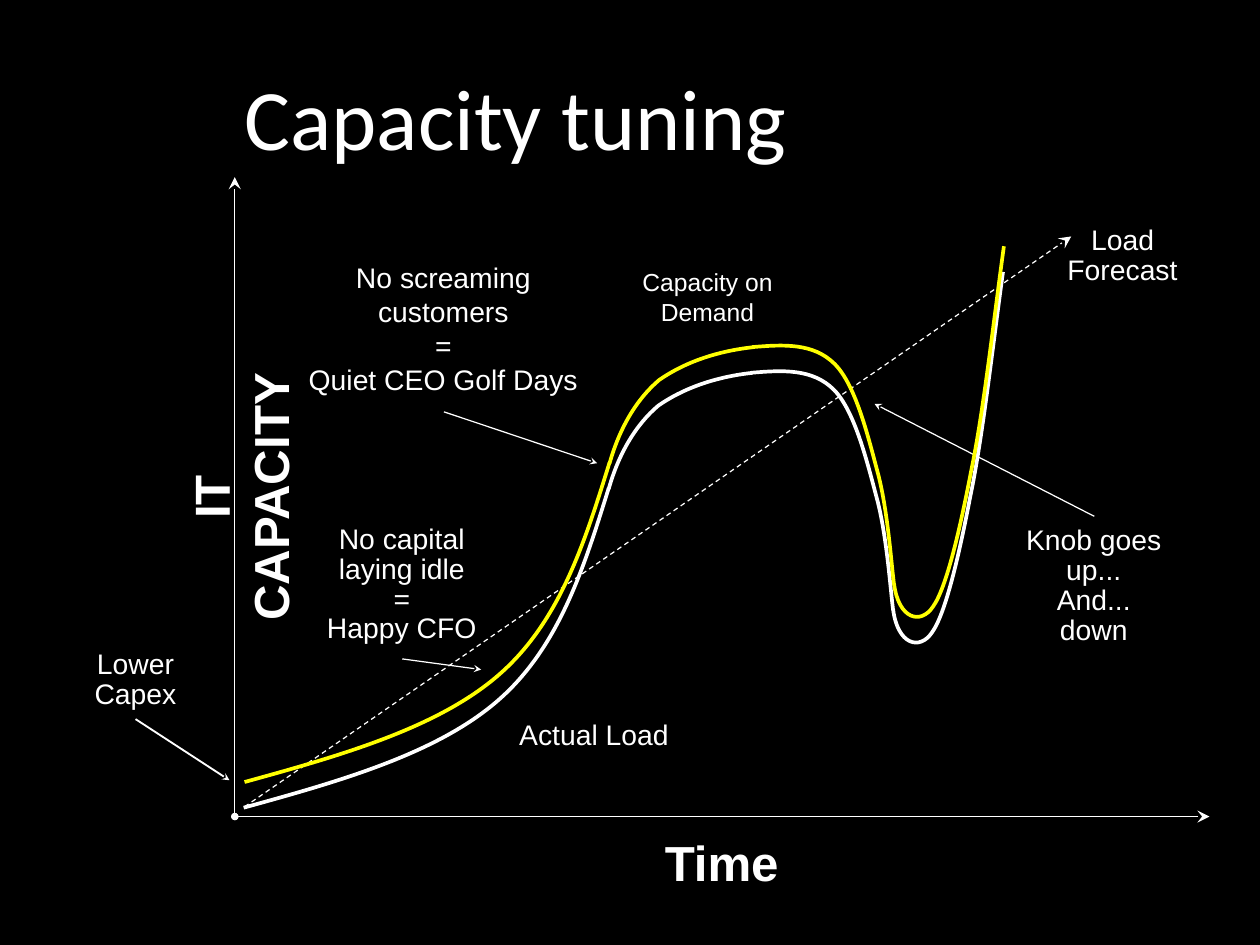
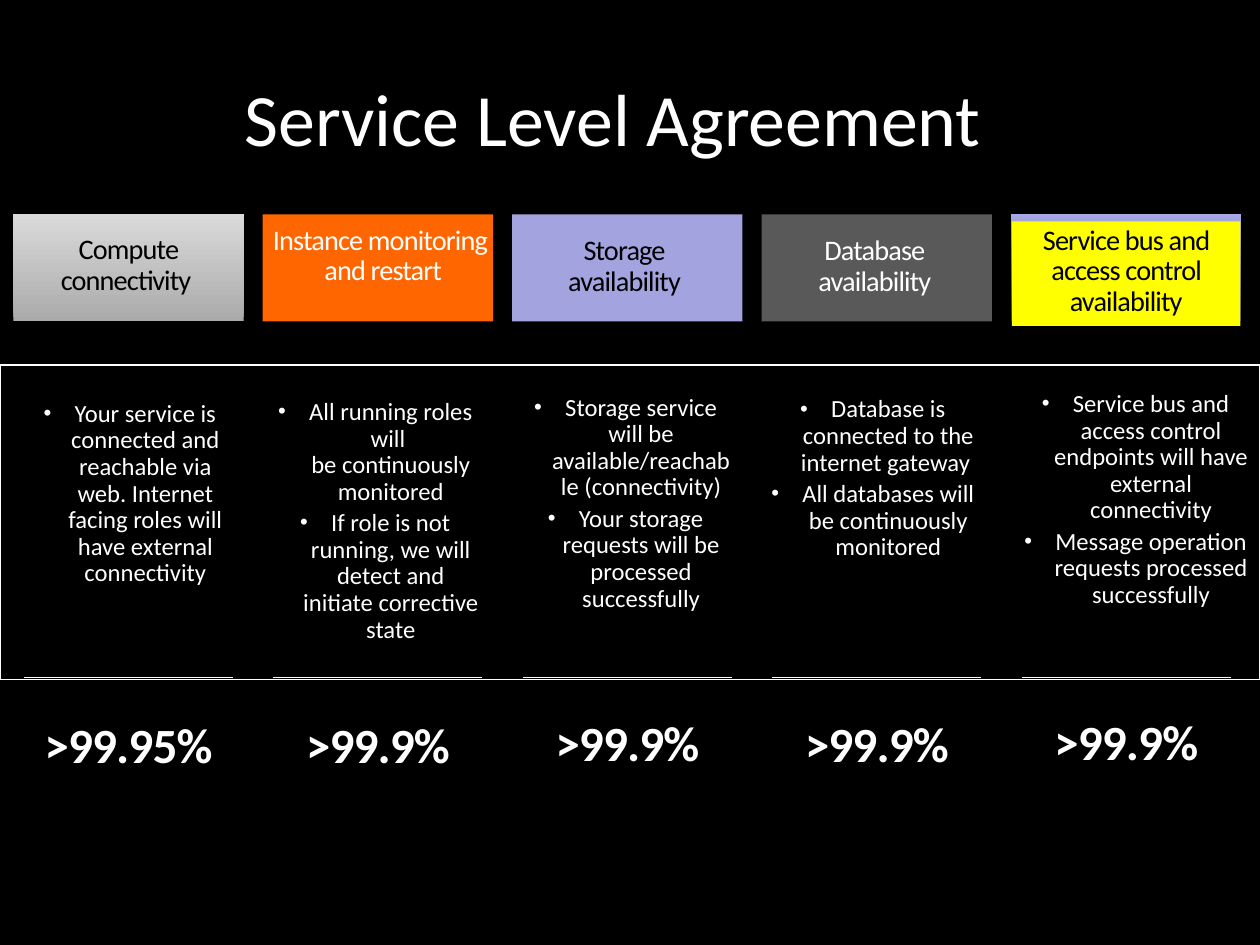
from lxml import etree
from pptx import Presentation
from pptx.dml.color import RGBColor
from pptx.enum.dml import MSO_LINE as Dash
from pptx.enum.shapes import MSO_CONNECTOR as Link, MSO_SHAPE as Form
from pptx.enum.text import MSO_ANCHOR as Anchor, PP_ALIGN as Align
from pptx.oxml.ns import qn
from pptx.util import Inches, Pt

BLACK = RGBColor(0x00, 0x00, 0x00)
WHITE = RGBColor(0xFF, 0xFF, 0xFF)
YELLOW = RGBColor(0xFF, 0xFF, 0x00)
ORANGE = RGBColor(0xFF, 0x66, 0x00)
LILAC = RGBColor(0xA3, 0xA3, 0xE0)
GRAY = RGBColor(0x59, 0x59, 0x59)
SILVER = (RGBColor(0xAA, 0xAA, 0xAA), RGBColor(0xDA, 0xDA, 0xDA))
INDIGO = (RGBColor(0x1F, 0x1F, 0x98), RGBColor(0xA9, 0xA9, 0xE5))


def write(shape, text, size, font="Calibri", color=WHITE, bold=False,
          align=Align.CENTER, anchor=Anchor.TOP, inset=(0, 0.05),
          lead=None, track=0, wrap=True):
    """Fill a shape with text; inset is (sides, top and bottom)."""
    frame = shape.text_frame
    frame.word_wrap = wrap
    frame.vertical_anchor = anchor
    frame.margin_left = frame.margin_right = Inches(inset[0])
    frame.margin_top = frame.margin_bottom = Inches(inset[1])
    frame.text = text
    for para in frame.paragraphs:
        para.alignment = align
        para.line_spacing = lead
        for run in para.runs:
            run.font.name = font
            run.font.size = Pt(size)
            run.font.bold = bold
            run.font.color.rgb = color
            if track:
                run.font._element.set("spc", str(track))
    return frame


def rule(shapes, start, end, width=1, head=None, tail=None, dash=None,
         size="med"):
    """Draw a white line with optional arrowheads."""
    ends = [Inches(n) for n in (*start, *end)]
    link = shapes.add_connector(Link.STRAIGHT, *ends)
    link.line.color.rgb = WHITE
    link.line.width = Pt(width)
    if dash:
        link.line.dash_style = dash
    props = link.element.spPr
    for tag, kind, scale in (("a:headEnd", head, "med"),
                             ("a:tailEnd", tail, size)):
        if kind:
            mark = etree.SubElement(props.get_or_add_ln(), qn(tag))
            mark.set("type", kind)
            mark.set("w", scale)
            mark.set("len", scale)
    etree.SubElement(props, qn("a:effectLst"))


deck = Presentation()
deck.slide_width = Inches(14.22)
deck.slide_height = Inches(10.67)
back = deck.slide_master.background.fill
back.solid()
back.fore_color.rgb = BLACK

pages = []
for title, size in (("Capacity tuning", 70), ("Service Level Agreement", 60)):
    page = deck.slides.add_slide(deck.slide_layouts[6])
    box = page.shapes.add_textbox(
        Inches(2.71), Inches(0.17), Inches(10.33), Inches(2.29))
    write(box, title, size, align=Align.LEFT, anchor=Anchor.MIDDLE,
          inset=(0.05, 0.06))
    pages.append(page.shapes)
chart, terms = pages

# Capacity tuning: forecast, axes and pointers
rule(chart, (2.76, 9.11), (12.09, 2.67), tail="stealth", dash=Dash.DASH,
     size="lg")
for tip in ((13.65, 9.22), (2.65, 2)):
    rule(chart, (2.65, 9.22), tip, head="oval", tail="stealth", size="lg")
for start, end, width in (
    ((4.54, 7.44), (5.43, 7.56), 1),
    ((5.01, 4.65), (6.74, 5.23), 1),
    ((12.35, 5.83), (9.87, 4.56), 1),
    ((1.53, 8.12), (2.59, 8.81), 1.5),
):
    rule(chart, start, end, width, tail="stealth")

# Each load piece: a start, then two control points and an end per bend
pieces = [
    [(8.48, 4.21), (8.83, 4.18), (9.17, 4.16), (9.41, 4.4),
     (9.65, 4.64), (9.79, 5.23), (9.9, 5.64),
     (10.01, 6.06), (10.05, 6.66), (10.08, 6.89)],
    [(10.08, 6.88), (10.13, 7.28), (10.38, 7.35), (10.52, 7.14),
     (10.67, 6.93), (10.82, 6.29), (10.95, 5.61),
     (11.09, 4.94), (11.2, 3.94), (11.32, 3.07)],
    [(2.75, 9.12), (3.84, 8.82), (4.93, 8.51), (5.62, 7.91),
     (6.31, 7.31), (6.59, 6.41), (6.87, 5.51)],
    [(6.87, 5.52), (6.98, 5.13), (7.17, 4.8), (7.43, 4.58),
     (7.69, 4.4), (8.04, 4.26), (8.49, 4.21)],
]
for color, dx, dy in ((WHITE, 0, 0), (YELLOW, 0.01, -0.29)):
    load = chart.add_group_shape().shapes
    for piece in pieces:
        first, *rest = [(Inches(x + dx), Inches(y + dy)) for x, y in piece]
        pen = load.build_freeform(*first)
        pen.add_line_segments(rest, close=False)
        curve = pen.convert_to_shape()
        curve.shadow.inherit = False
        curve.fill.background()
        curve.line.color.rgb = color
        curve.line.width = Pt(3)
        trace = next(curve.element.iter(qn("a:path")))
        legs = trace.findall(qn("a:lnTo"))
        for n in range(0, len(legs), 3):
            bend = etree.SubElement(trace, qn("a:cubicBezTo"))
            for leg in legs[n:n + 3]:
                bend.append(leg[0])
                trace.remove(leg)

TIGHT = Pt(24.2)
for text, x, y, w, h, size, lead, anchor, bend in (
    ("Actual Load", 5.54, 8, 2.33, 0.58, 23, None, Anchor.TOP, 0.17),
    ("Capacity on Demand", 6.98, 2.9, 2.01, 0.9, 20, None, Anchor.TOP, 0.17),
    ("Lower Capex", 0.58, 7.24, 1.9, 0.88, 23, TIGHT, Anchor.MIDDLE, 0.1),
    ("No capital laying idle\n=\vHappy CFO",
     3.48, 5.78, 2.11, 1.66, 23, TIGHT, Anchor.TOP, 0.17),
    ("No screaming customers\n=\nQuiet CEO Golf Days",
     3.31, 2.78, 3.39, 1.87, 23, None, Anchor.TOP, 0.17),
    ("Knob goes up...\nAnd...\ndown",
     11.26, 5.83, 2.17, 1.59, 23, TIGHT, Anchor.TOP, 0.1),
):
    note = chart.add_shape(
        Form.ROUNDED_RECTANGLE, Inches(x), Inches(y), Inches(w), Inches(h))
    note.adjustments[0] = bend
    note.shadow.inherit = False
    note.fill.background()
    note.line.fill.background()
    write(note, text, size, "Arial", anchor=anchor, inset=(0, 0.07), lead=lead)

for text, x, y, w, h, turn, size, lead in (
    ("Time", 7.09, 9.33, 2.11, 0.57, 0, 40, None),
    ("IT CAPACITY", 0.46, 5.32, 3.6, 0.58, 270, 40, None),
    ("Load Forecast", 11.84, 2.49, 1.66, 0.83, 0, 23, TIGHT),
):
    box = chart.add_textbox(Inches(x), Inches(y), Inches(w), Inches(h))
    box.rotation = turn
    write(box, text, size, "Arial", bold=size == 40, inset=(0.14, 0.07),
          lead=lead, wrap=size != 40)

# Service Level Agreement: one band, five columns
band = terms.add_shape(
    Form.RECTANGLE, 0, Inches(4.12), Inches(14.22), Inches(3.55))
band.rotation = 180
band.shadow.inherit = False
band.fill.solid()
band.fill.fore_color.rgb = BLACK
band.line.color.rgb = WHITE
band.line.width = Pt(1)

LEFT, PITCH, WIDE = 0.15, (11.41 - 0.15) / 4, 2.6
# Heading, its place and colour, card fill, value and its top, body place, body
columns = [
    ("Compute\nconnectivity ", (0.39, 2.61, 2.13, 0.83), BLACK, SILVER,
     ">99.95%", 8.09, (0.19, 4.48, 2.55, 2.23),
     "Your service is connected and reachable via web. Internet facing roles "
     "will have external connectivity"),
    ("Instance monitoring \vand restart", (3.08, 2.5, 2.49, 0.8), WHITE,
     ORANGE, ">99.9%", 8.09, (2.97, 4.46, 2.53, 2.9),
     "All running roles will \vbe continuously monitored\n"
     "If role is not running, we will detect and initiate corrective state"),
    ("Storage \navailability ", (5.98, 2.62, 2.2, 0.83), BLACK, LILAC,
     ">99.9%", 8.07, (5.77, 4.41, 2.58, 2.6),
     "Storage service will be available/reachable (connectivity)\n"
     "Your storage requests will be processed successfully"),
    ("Database \navailability ", (8.73, 2.62, 2.35, 0.83), WHITE, GRAY,
     ">99.9%", 8.08, (8.58, 4.43, 2.54, 1.99),
     "Database is connected to the internet gateway \n"
     "All databases will be continuously monitored"),
    ("Service bus and access control availability",
     (11.42, 2.5, 2.58, 1.18), BLACK, INDIGO,
     ">99.9%", 8.06, (11.41, 4.37, 2.81, 2.6),
     "Service bus and access control endpoints will have external "
     "connectivity\nMessage operation requests processed successfully"),
]
for i, (head, spot, ink, paint, value, top, place, body) in enumerate(columns):
    left = LEFT + i * PITCH
    column = terms.add_group_shape().shapes
    card = column.add_shape(Form.ROUNDED_RECTANGLE, Inches(left),
                            Inches(2.42), Inches(WIDE), Inches(1.21))
    card.adjustments[0] = 0
    card.shadow.inherit = False
    card.line.fill.background()
    if isinstance(paint, RGBColor):
        card.fill.solid()
        card.fill.fore_color.rgb = paint
    else:
        card.fill.gradient()
        card.fill.gradient_angle = 90
        for stop, shade, point in zip(card.fill.gradient_stops, paint, (0, 1)):
            stop.color.rgb = shade
            stop.position = point

    spot = [Inches(n) for n in spot]
    if paint is INDIGO:
        label = column.add_shape(Form.RECTANGLE, *spot)
        label.shadow.inherit = False
        label.line.fill.background()
        label.fill.solid()
        label.fill.fore_color.rgb = YELLOW
    else:
        label = column.add_textbox(*spot)
    write(label, head, 23, color=ink, lead=0.9, track=-70)

    for level in (4.12, 7.65):
        rule(column, (left + 0.12, level), (left + 2.48, level), 0.5)

    box = column.add_textbox(*[Inches(n) for n in place])
    frame = write(box, body, 20, inset=(0.1, 0.05), lead=0.9)
    for n, para in enumerate(frame.paragraphs):
        if n:
            para.space_before = Pt(4)
        props = para._p.get_or_add_pPr()
        props.set("marL", str(Inches(0.35)))
        props.set("indent", str(Inches(-0.35)))
        etree.SubElement(props, qn("a:buSzPct")).set("val", "90000")
        etree.SubElement(props, qn("a:buFont")).set("typeface", "Arial")
        etree.SubElement(props, qn("a:buChar")).set("char", "•")

    box = column.add_textbox(
        Inches(left + 0.12), Inches(top), Inches(2.36), Inches(0.72))
    write(box, value, 40, bold=True, lead=0.9, track=-70)

deck.save("out.pptx")
